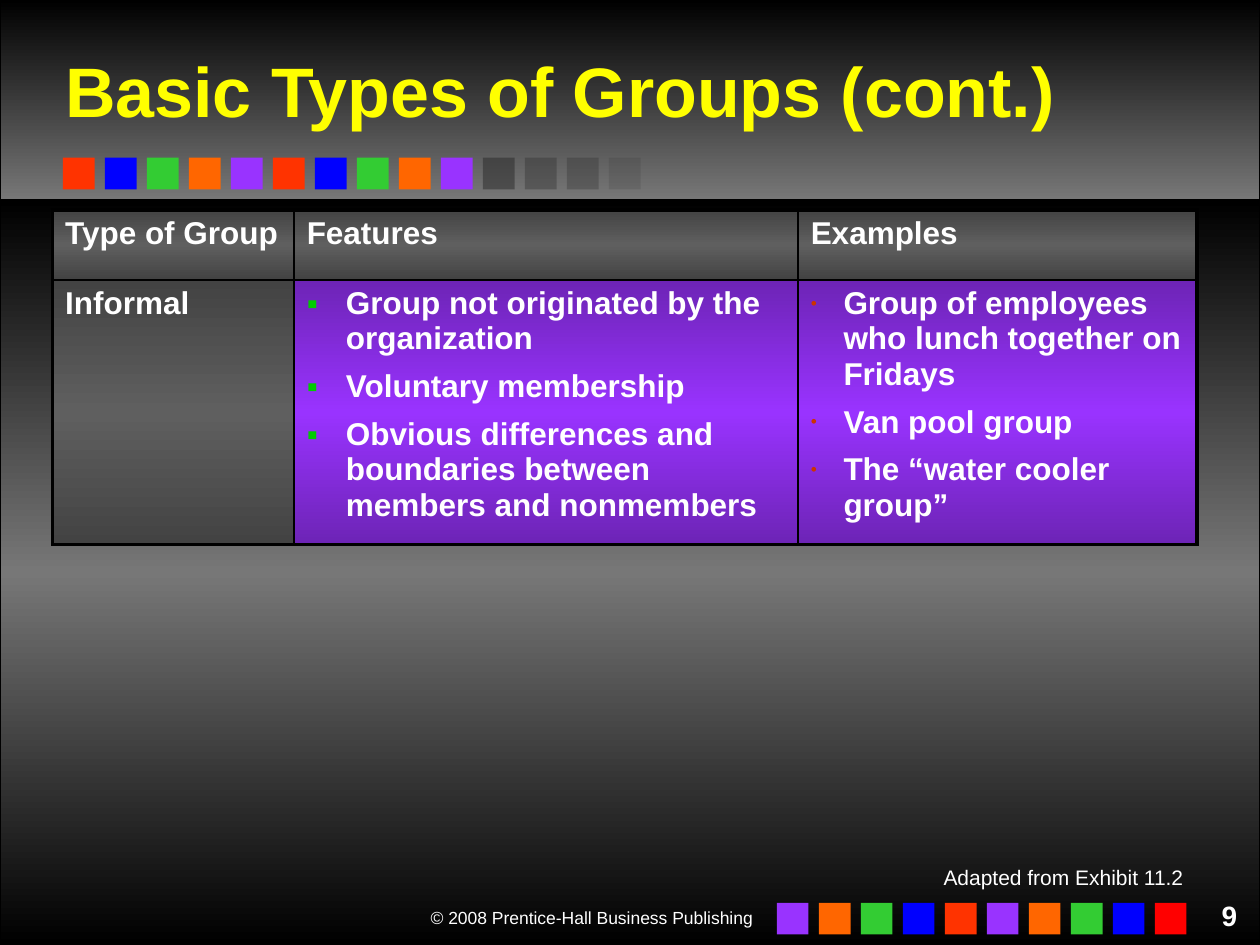
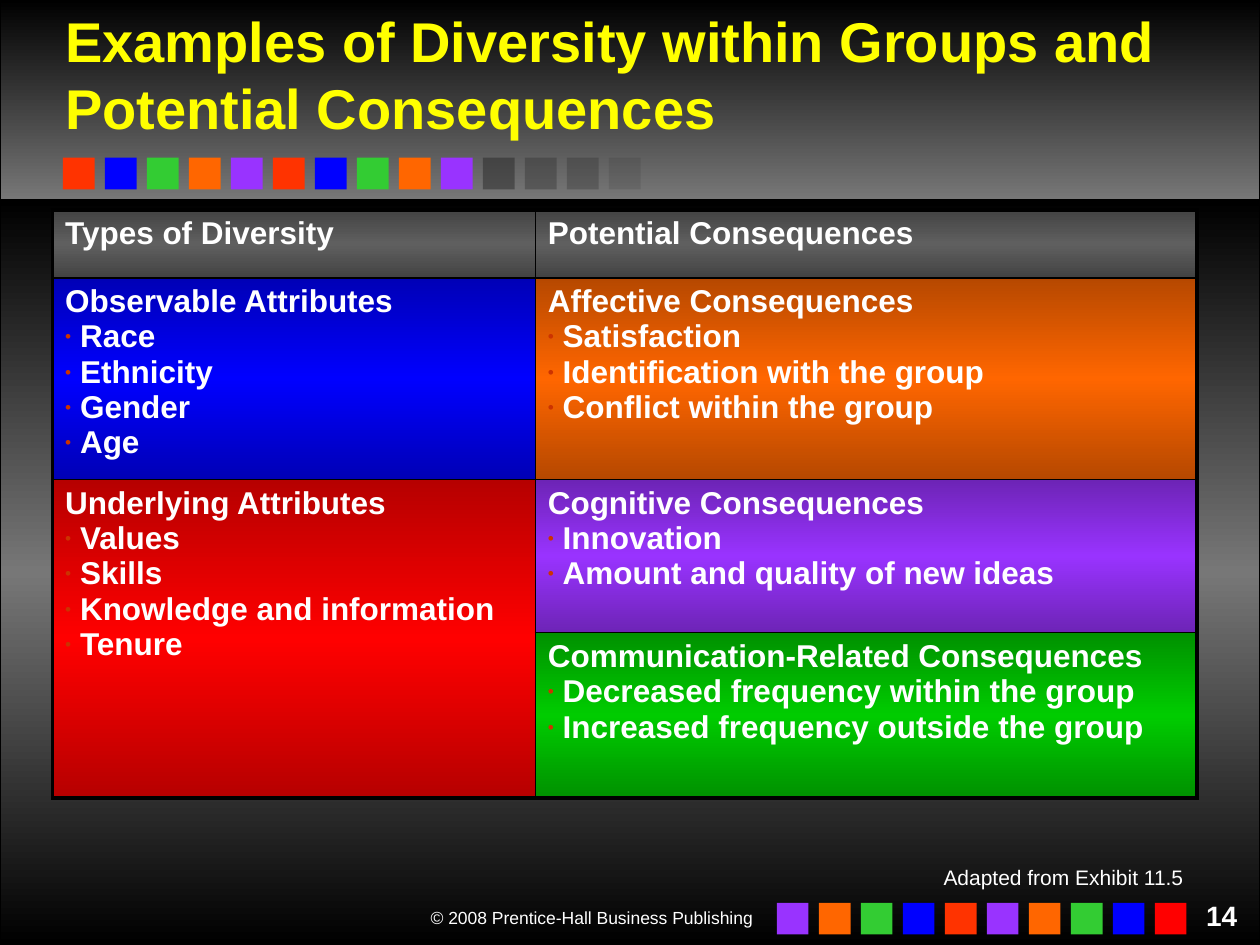
"""Build two slides with tables about types of groups and diversity within groups."""
from dataclasses import dataclass
from typing import Any, Optional

from pptx import Presentation
from pptx.dml.color import RGBColor
from pptx.enum.shapes import MSO_SHAPE
from pptx.enum.text import MSO_ANCHOR, MSO_AUTO_SIZE, PP_ALIGN
from pptx.oxml import parse_xml
from pptx.oxml.ns import nsdecls, qn
from pptx.util import Cm, Pt

RECTANGLE = MSO_SHAPE.RECTANGLE
MIDDLE = MSO_ANCHOR.MIDDLE
NO_AUTOFIT = MSO_AUTO_SIZE.NONE
LEFT, RIGHT = PP_ALIGN.LEFT, PP_ALIGN.RIGHT

FONT = "Arial"
WHITE, BLACK, YELLOW, BAND_GREY = "FFFFFF", "000000", "FFFF00", "777777"
GREY, PURPLE, BLUE, ORANGE = "5F5F5F", "9933FF", "0000FF", "FF6600"
RED, GREEN = "FF0000", "00CC00"
RAINBOW = ["FF3300", BLUE, "33CC33", ORANGE, PURPLE] * 2
FADING_GREY, FADING_ALPHAS = "292929", (50, 35, 30, 15)
EDGE_SHADE = 46275
SQUARE_SIZE, SQUARE_PITCH = Cm(0.64), Cm(2.54) // 3
OUTER_BORDER, INNER_BORDER = Pt(2.25), Pt(1)

TITLE_SHADOW = (
    f'<a:effectLst {nsdecls("a")}><a:outerShdw dist="35921" dir="2700000">'
    f'<a:srgbClr val="{BLACK}"/></a:outerShdw></a:effectLst>'
)


@dataclass(frozen=True)
class Box:
    """A place on the slide, in centimetres."""

    left: float
    top: float
    width: float
    height: float

    def lengths(self) -> tuple:
        """Return the four lengths."""
        return Cm(self.left), Cm(self.top), Cm(self.width), Cm(self.height)


@dataclass(frozen=True)
class Bullet:
    """A bullet style."""

    character: str
    colour: str
    size: int
    indent: float
    space_before: float = 0


@dataclass(frozen=True)
class Stop:
    """One gradient stop, with an optional shade of its colour."""

    position: int
    colour: str
    shade: Optional[int] = None


@dataclass(frozen=True)
class Content:
    """What one table cell holds."""

    colour: str
    heading: str = ""
    items: tuple = ()
    bullet: Optional[Bullet] = None


@dataclass(frozen=True)
class TableSlide:
    """A slide with a title, a table and a source line."""

    number: str
    title: str
    title_size: int
    title_box: Box
    columns: tuple
    rows: tuple
    cells: tuple
    source: str


SQUARE_BULLET = Bullet("▪", GREEN, 100, 0.79, 7.2)
DOT_BULLET = Bullet("•", "CC3300", 55, 0.66, 7.2)
TIGHT_BULLET = Bullet("•", "CC3300", 55, 0.3)

SLIDES = (
    TableSlide(
        "9", "Basic Types of Groups (cont.)", 40, Box(1.06, 0.64, 23.92, 2.33),
        (4.87, 10.16, 8.04), (1.41, 4.45),
        (
            (Content(GREY, "Type of Group"), Content(GREY, "Features"), Content(GREY, "Examples")),
            (
                Content(GREY, "Informal"),
                Content(PURPLE, items=(
                    "Group not originated by the organization",
                    "Voluntary membership",
                    "Obvious differences and boundaries between members and nonmembers",
                ), bullet=SQUARE_BULLET),
                Content(PURPLE, items=(
                    "Group of employees who lunch together on Fridays",
                    "Van pool group",
                    "The “water cooler group”",
                ), bullet=DOT_BULLET),
            ),
        ),
        "Adapted from Exhibit 11.2",
    ),
    TableSlide(
        "14", "Examples of Diversity within Groups and Potential Consequences", 32,
        Box(1.06, 0, 23.92, 2.96),
        (9.73, 13.34), (1.37, 3.33, 3.09, 3.33),
        (
            (Content(GREY, "Types of Diversity"), Content(GREY, "Potential Consequences")),
            (
                Content(BLUE, "Observable Attributes",
                        ("Race", "Ethnicity", "Gender", "Age"), TIGHT_BULLET),
                Content(ORANGE, "Affective Consequences",
                        ("Satisfaction", "Identification with the group",
                         "Conflict within the group"), TIGHT_BULLET),
            ),
            (
                Content(RED, "Underlying Attributes",
                        ("Values", "Skills", "Knowledge and information", "Tenure"), TIGHT_BULLET),
                Content(PURPLE, "Cognitive Consequences",
                        ("Innovation", "Amount and quality of new ideas"), TIGHT_BULLET),
            ),
            (
                None,
                Content(GREEN, "Communication-Related Consequences",
                        ("Decreased frequency within the group",
                         "Increased frequency outside the group"), TIGHT_BULLET),
            ),
        ),
        "Adapted from Exhibit 11.5",
    ),
)


def rgb(colour: str) -> RGBColor:
    """Turn a hex string into a colour."""
    return RGBColor.from_string(colour)


def set_values(target: Any, values: dict) -> None:
    """Set each named attribute of the target."""
    for name, value in values.items():
        setattr(target, name, value)


def write(paragraph: Any, text: str, size: float, colour: str = WHITE, bold: bool = False) -> Any:
    """Add a formatted run to the paragraph."""
    run = paragraph.add_run()
    run.text = text
    set_values(run.font, {"name": FONT, "size": Pt(size), "bold": bold})
    run.font.color.rgb = rgb(colour)
    return run


def fill_gradient(fill: Any, element: Any, stops: tuple) -> None:
    """Fill with a gradient that runs from top to bottom."""
    fill.gradient()
    fill.gradient_angle = 270
    stop_list = element.find(".//" + qn("a:gsLst"))
    for old_stop in list(stop_list):
        stop_list.remove(old_stop)
    for stop in stops:
        shade = "" if stop.shade is None else f'<a:shade val="{stop.shade}"/>'
        stop_list.append(parse_xml(
            f'<a:gs {nsdecls("a")} pos="{stop.position * 1000}">'
            f'<a:srgbClr val="{stop.colour}">{shade}</a:srgbClr></a:gs>'))


def add_band(slide: Any, box: Box, stops: tuple) -> None:
    """Add a background band with a thin black outline."""
    band = slide.shapes.add_shape(RECTANGLE, *box.lengths())
    band.shadow.inherit = False
    fill_gradient(band.fill, band._element, stops)
    band.line.color.rgb = rgb(BLACK)
    band.line.width = Pt(0.75)


def add_squares(slide: Any, left: float, top: float, squares: list) -> None:
    """Add a row of squares, each a colour and an opacity in percent."""
    for index, (colour, opacity) in enumerate(squares):
        square = slide.shapes.add_shape(
            RECTANGLE, Cm(left) + index * SQUARE_PITCH, Cm(top), SQUARE_SIZE, SQUARE_SIZE)
        square.shadow.inherit = False
        square.fill.solid()
        square.fill.fore_color.rgb = rgb(colour)
        square.line.fill.background()
        if opacity < 100:
            colour_element = square._element.spPr.find(".//" + qn("a:srgbClr"))
            colour_element.append(parse_xml(
                f'<a:alpha {nsdecls("a")} val="{opacity * 1000}"/>'))


def add_label(slide: Any, box: Box, text: str, size: float, bold: bool = False,
              line_spacing: float = 1.0) -> None:
    """Add a right-aligned line of white text."""
    frame = slide.shapes.add_textbox(*box.lengths()).text_frame
    frame.word_wrap = True
    paragraph = frame.paragraphs[0]
    set_values(paragraph, {"alignment": RIGHT, "line_spacing": line_spacing})
    write(paragraph, text, size, bold=bold)


def furnish_layout(layout: Any, slide: Any) -> None:
    """Draw the shared bands, squares and copyright line and move them to the layout."""
    add_band(slide, Box(0, 0, 25.4, 4.02), (Stop(0, BLACK), Stop(100, BAND_GREY)))
    add_band(slide, Box(0, 4.02, 25.4, 15.03),
             (Stop(0, BLACK), Stop(50, BAND_GREY), Stop(100, BLACK)))
    add_label(slide, Box(7.42, 18.16, 8, 0.68), "© 2008 Prentice-Hall Business Publishing", 10)
    fading = [(FADING_GREY, alpha) for alpha in FADING_ALPHAS]
    add_squares(slide, 1.27, 3.18, [(colour, 100) for colour in RAINBOW] + fading)
    footer_colours = RAINBOW[:0:-1] + [RED]
    add_squares(slide, 15.66, 18.2, [(colour, 100) for colour in footer_colours])
    layout_title, *unused = list(layout.placeholders)
    for placeholder in unused:
        placeholder._element.getparent().remove(placeholder._element)
    for shape in list(slide.shapes):
        if not shape.is_placeholder:
            layout_title._element.addprevious(shape._element)


def set_title(slide: Any, content: TableSlide) -> None:
    """Place and format the title placeholder."""
    title = slide.shapes.title
    set_values(title, dict(zip(("left", "top", "width", "height"), content.title_box.lengths())))
    frame = title.text_frame
    set_values(frame, {"auto_size": NO_AUTOFIT, "vertical_anchor": MIDDLE, "word_wrap": True})
    paragraph = frame.paragraphs[0]
    paragraph.alignment = LEFT
    run = write(paragraph, content.title, content.title_size, YELLOW, True)
    run.font._element.find(qn("a:solidFill")).addnext(parse_xml(TITLE_SHADOW))


def set_bullet(paragraph: Any, bullet: Bullet) -> None:
    """Give the paragraph a hanging bullet."""
    properties = paragraph._p.get_or_add_pPr()
    properties.set("marL", str(Cm(bullet.indent)))
    properties.set("indent", str(-Cm(bullet.indent)))
    for markup in (
        f'<a:buClr {nsdecls("a")}><a:srgbClr val="{bullet.colour}"/></a:buClr>',
        f'<a:buSzPct {nsdecls("a")} val="{bullet.size * 1000}"/>',
        f'<a:buFont {nsdecls("a")} typeface="{FONT}"/>',
        f'<a:buChar {nsdecls("a")} char="{bullet.character}"/>',
    ):
        properties.append(parse_xml(markup))


def set_borders(cell: Any, outer_edges: dict) -> None:
    """Draw black borders, thick where the edge is an outer one."""
    properties = cell._tc.get_or_add_tcPr()
    for edge, is_outer in outer_edges.items():
        width = OUTER_BORDER if is_outer else INNER_BORDER
        properties.append(parse_xml(
            f'<a:ln{edge} {nsdecls("a")} w="{width}"><a:solidFill>'
            f'<a:srgbClr val="{BLACK}"/></a:solidFill></a:ln{edge}>'))


def fill_cell(cell: Any, content: Content) -> None:
    """Colour the cell and write its heading and bulleted items."""
    fill_gradient(cell.fill, cell._tc, (
        Stop(0, content.colour, EDGE_SHADE), Stop(50, content.colour),
        Stop(100, content.colour, EDGE_SHADE)))
    lines = [(content.heading, None)] if content.heading else []
    lines += [(item, content.bullet) for item in content.items]
    frame = cell.text_frame
    for index, (text, bullet) in enumerate(lines):
        paragraph = frame.add_paragraph() if index else frame.paragraphs[0]
        if bullet:
            set_bullet(paragraph, bullet)
            if index and bullet.space_before:
                paragraph.space_before = Pt(bullet.space_before)
        write(paragraph, text, 18, bold=True)


def add_group_table(slide: Any, content: TableSlide) -> None:
    """Add the table; an empty place continues the cell above it."""
    row_count, column_count = len(content.rows), len(content.columns)
    box = Box(1.06, 4.23, sum(content.columns), sum(content.rows))
    table = slide.shapes.add_table(row_count, column_count, *box.lengths()).table
    set_values(table, {"first_row": False, "horz_banding": False})
    for column, width in zip(table.columns, content.columns):
        column.width = Cm(width)
    for row, height in zip(table.rows, content.rows):
        row.height = Cm(height)
    places = [(row, column, cell) for row, cells in enumerate(content.cells)
              for column, cell in enumerate(cells)]
    for row, column, cell_content in places:
        if cell_content is None:
            table.cell(row - 1, column).merge(table.cell(row, column))
    for row, column, cell_content in places:
        cell = table.cell(row, column)
        set_borders(cell, {"L": column == 0, "R": column == column_count - 1,
                           "T": row == 0, "B": row + cell.span_height == row_count})
        if cell_content:
            fill_cell(cell, cell_content)


def main() -> None:
    """Build and save the presentation."""
    presentation = Presentation()
    set_values(presentation, {"slide_width": Cm(25.4), "slide_height": Cm(19.05)})
    layout = presentation.slide_layouts.get_by_name("Title Only")
    for index, content in enumerate(SLIDES):
        slide = presentation.slides.add_slide(layout)
        if index == 0:
            furnish_layout(layout, slide)
        add_label(slide, Box(23.92, 17.99, 1.27, 0.42), content.number, 16, bold=True)
        set_title(slide, content)
        add_group_table(slide, content)
        add_label(slide, Box(17.99, 17.36, 6.12, 0.7), content.source, 12, line_spacing=0.9)
    presentation.save("out.pptx")


if __name__ == "__main__":
    main()
